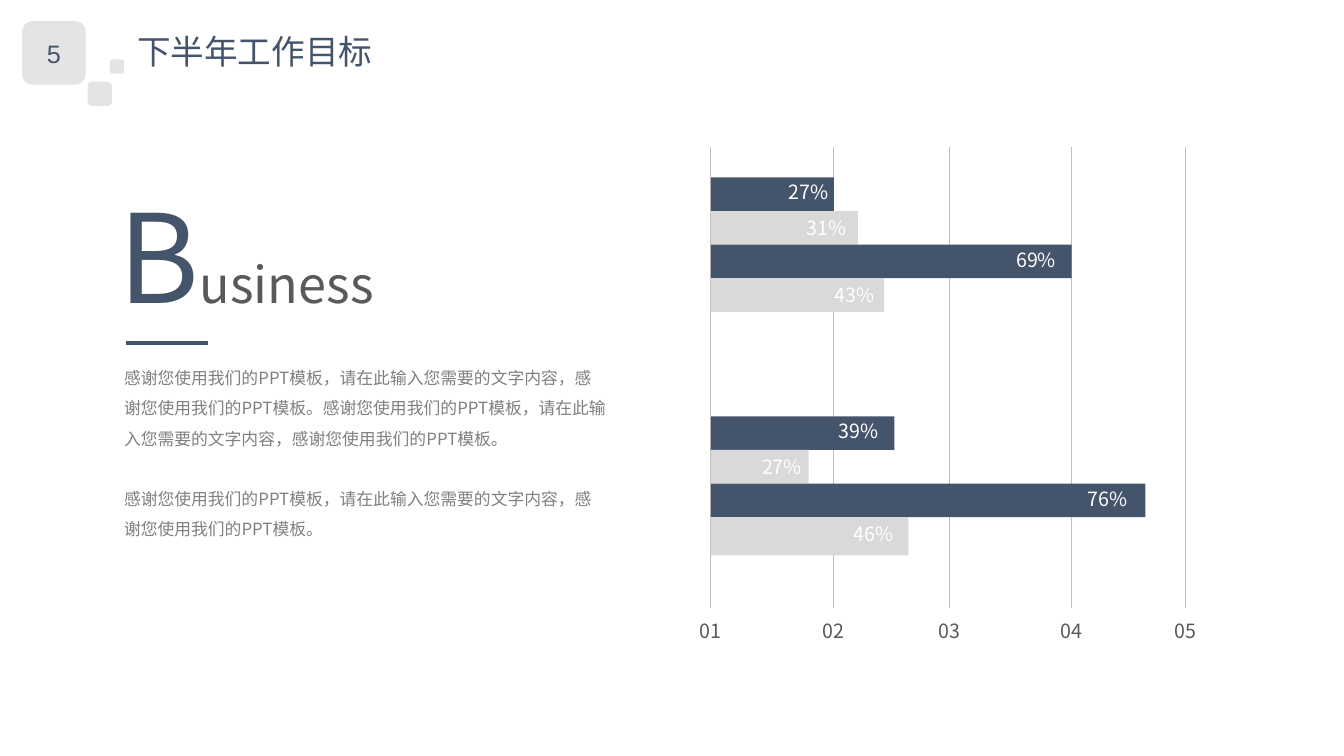
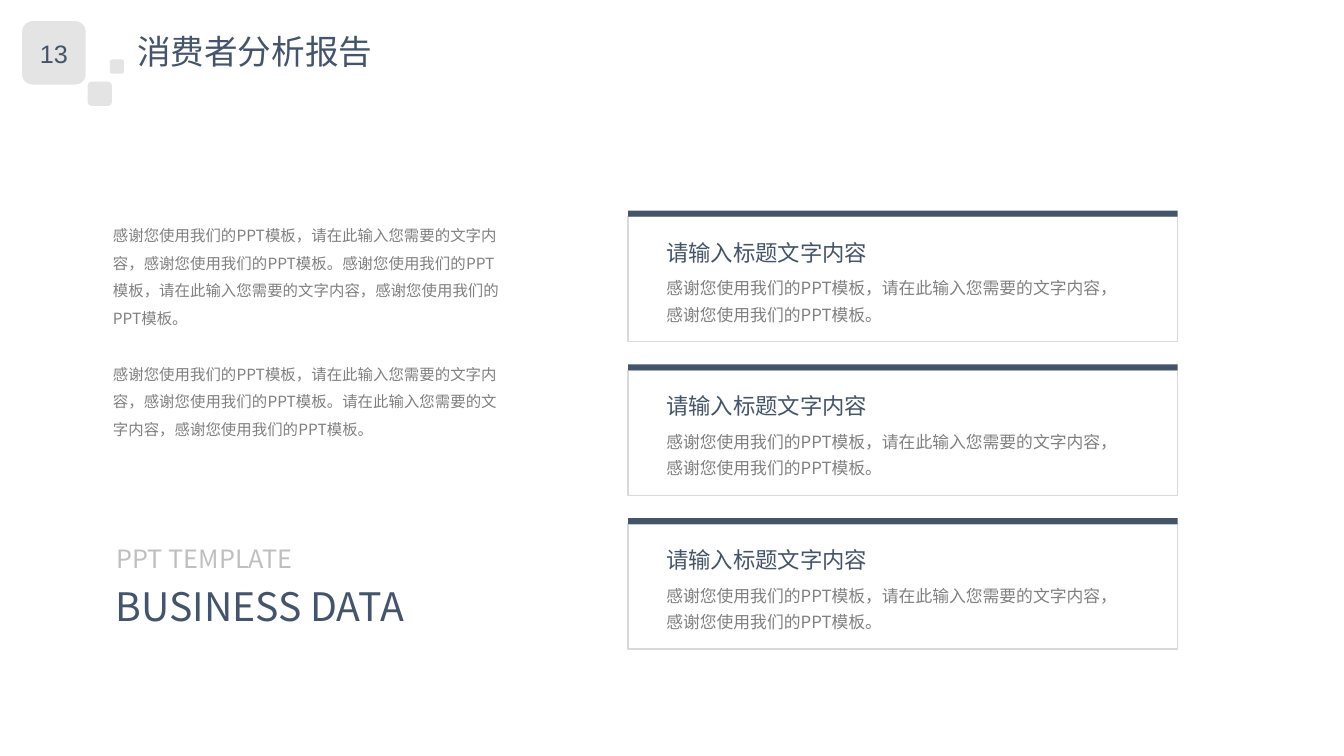
from dataclasses import dataclass

import lxml.etree
import pptx
import pptx.dml.color
import pptx.enum.shapes
import pptx.enum.text
import pptx.oxml.ns
import pptx.util

Inches = pptx.util.Inches
Pt = pptx.util.Pt
qn = pptx.oxml.ns.qn
SHAPE = pptx.enum.shapes.MSO_SHAPE
ALIGN = pptx.enum.text.PP_ALIGN


@dataclass(frozen=True)
class Theme:
    font: str = "Noto Sans CJK SC"
    number_font: str = "Arial"
    navy: str = "44546A"
    pale: str = "D9D9D9"
    rule: str = "BFBFBF"
    dark: str = "595959"
    grey: str = "808080"
    white: str = "FFFFFF"
    initial: int = 88
    word: int = 36
    banner: int = 28
    title: int = 24
    number: int = 18
    heading: int = 16
    label: int = 14
    body: int = 12
    small: int = 11


THEME = Theme()
INTRO = "感谢您使用我们的PPT模板，请在此输入您需要的文字内容，感谢您使用我们的PPT模板。"
REQUEST = "请在此输入您需要的文字内容，感谢您使用我们的PPT模板。"


# Basic elements
def rgb(color):
    return pptx.dml.color.RGBColor.from_string(color)


def place(shape, left, top, width, height):
    shape.left, shape.top = Inches(left), Inches(top)
    shape.width, shape.height = Inches(width), Inches(height)


def style(paragraph, size, color, font=THEME.font):
    paragraph.font.size = Pt(size)
    paragraph.font.color.rgb = rgb(color)
    paragraph.font.name = font
    properties = paragraph._p.pPr.find(qn("a:defRPr"))
    lxml.etree.SubElement(properties, qn("a:ea"), typeface=font)


def add_block(slide, kind, left, top, width, height, fill=None, line=None):
    block = slide.shapes.add_shape(
        kind, Inches(left), Inches(top), Inches(width), Inches(height))
    block.shadow.inherit = False
    if fill:
        block.fill.solid()
        block.fill.fore_color.rgb = rgb(fill)
    else:
        block.fill.background()
    if line:
        block.line.color.rgb = rgb(line)
        block.line.width = Pt(1)
    else:
        block.line.fill.background()
    return block


def add_rule(slide, start, end, color, width):
    rule = slide.shapes.add_connector(
        pptx.enum.shapes.MSO_CONNECTOR.STRAIGHT,
        *(Inches(value) for value in (*start, *end)))
    rule.line.color.rgb = rgb(color)
    rule.line.width = Pt(width)
    lxml.etree.SubElement(rule._element.spPr, qn("a:effectLst"))


def add_text(slide, text, box, size, color, font=THEME.font,
             align=ALIGN.LEFT, spacing=None):
    """Text with line spacing wraps; a plain label stays on one line."""
    frame = slide.shapes.add_textbox(*(Inches(value) for value in box)).text_frame
    frame.word_wrap = spacing is not None
    paragraph = frame.paragraphs[0]
    paragraph.text = text
    paragraph.alignment = align
    if spacing:
        paragraph.line_spacing = spacing
    style(paragraph, size, color, font)
    return paragraph


# Shared header and placeholders
def add_corner_squares(slide):
    """Draw the corner squares and hand them to the layout."""
    for left, top, side in ((0.22, 0.21, 0.63), (0.87, 0.81, 0.24), (1.09, 0.59, 0.14)):
        square = add_block(slide, SHAPE.ROUNDED_RECTANGLE, left, top, side, side, THEME.pale)
        tint = square._element.spPr.find(qn("a:solidFill"))[0]
        lxml.etree.SubElement(tint, qn("a:alpha"), val="70000")
        slide.slide_layout.element.cSld.spTree.append(square._element)


def add_content_slide(deck, number, heading):
    slide = deck.slides.add_slide(deck.slide_layouts.get_by_name("Title and Content"))
    title = slide.shapes.title
    place(title, 1.26, 0.26, 2.56, 0.5)
    frame = title.text_frame
    frame.text = heading
    frame.word_wrap = False
    frame.auto_size = pptx.enum.text.MSO_AUTO_SIZE.NONE
    frame.vertical_anchor = pptx.enum.text.MSO_ANCHOR.TOP
    frame.paragraphs[0].alignment = ALIGN.LEFT
    style(frame.paragraphs[0], THEME.title, THEME.navy)
    add_text(slide, number, (0.28, 0.33, 0.51, 0.4), THEME.number, THEME.navy,
             THEME.number_font, ALIGN.CENTER)
    return slide


def fill_body(slide, texts, box, size):
    body = slide.placeholders[1]
    place(body, *box)
    frame = body.text_frame
    frame.text = "\n".join(texts)
    frame.auto_size = pptx.enum.text.MSO_AUTO_SIZE.NONE
    for index, paragraph in enumerate(frame.paragraphs):
        properties = paragraph._p.get_or_add_pPr()
        properties.set("marL", "0")
        properties.set("indent", "0")
        lxml.etree.SubElement(properties, qn("a:buNone"))
        paragraph.line_spacing = 1.5
        paragraph.space_before = Pt(1.8 * size if index else 0)
        style(paragraph, size, THEME.grey)


# Slide parts
def add_business_word(slide):
    paragraph = add_text(slide, "", (1.08, 1.74, 2.79, 1.58), THEME.initial, THEME.navy)
    for text, size, color in (("B", THEME.initial, THEME.navy),
                              ("usiness", THEME.word, THEME.dark)):
        run = paragraph.add_run()
        run.text = text
        run.font.size = Pt(size)
        run.font.color.rgb = rgb(color)
    add_rule(slide, (1.25, 3.4), (2.06, 3.4), THEME.navy, 3)


def add_goal_bars(slide):
    grid = (7.05, 8.27, 9.42, 10.63, 11.76)
    for index, x in enumerate(grid, start=1):
        add_rule(slide, (x, 1.46), (x, 6.03), THEME.rule, 0.5)
        add_text(slide, f"{index:02}", (x - 0.21, 6.09, 0.42, 0.34),
                 THEME.label, THEME.dark)

    # Group top, then label, bar length and label position of each bar
    groups = (
        (1.76, (("27%", 1.22, 7.72), ("31%", 1.46, 7.9),
                ("69%", 3.58, 9.98), ("43%", 1.72, 8.18))),
        (4.13, (("39%", 1.82, 8.22), ("27%", 0.97, 7.46),
                ("76%", 4.31, 10.69), ("46%", 1.96, 8.37))),
    )
    pitch = 1 / 3
    for group_top, bars in groups:
        for index, (label, length, label_left) in enumerate(bars):
            top = group_top + index * pitch
            color, lift = ((THEME.navy, 0.02), (THEME.pale, 0))[index % 2]
            height = 0.38 if label == "46%" else pitch
            add_block(slide, SHAPE.RECTANGLE, grid[0], top, length, height, color)
            add_text(slide, label, (label_left, top - lift, 0.6, 0.34),
                     THEME.label, THEME.white)


def add_card(slide, top):
    add_block(slide, SHAPE.RECTANGLE, 6.23, top + 0.06, 5.45, 1.24, line=THEME.pale)
    add_text(slide, INTRO, (6.51, top + 0.56, 4.52, 0.58), THEME.body, THEME.grey, spacing=1.3)
    add_text(slide, "请输入标题文字内容", (6.51, top + 0.23, 2.22, 0.37),
             THEME.heading, THEME.navy)
    add_block(slide, SHAPE.RECTANGLE, 6.23, top, 5.45, 0.06, THEME.navy)


# Slides
def build_goals(deck):
    slide = add_content_slide(deck, "5", "下半年工作目标")
    add_corner_squares(slide)
    add_business_word(slide)
    fill_body(slide, (INTRO + INTRO, INTRO), (1.13, 3.5, 5, 1.87), THEME.body)
    add_goal_bars(slide)


def build_consumers(deck):
    slide = add_content_slide(deck, "13", "消费者分析报告")
    fill_body(slide, (INTRO + INTRO, INTRO + REQUEST), (1.02, 2.1, 4.06, 2.28), THEME.small)
    for index in range(3):
        add_card(slide, 2.09 + index * 3.05 / 2)
    add_text(slide, "BUSINESS DATA", (1.05, 5.73, 3.29, 0.57), THEME.banner, THEME.navy)
    add_text(slide, "PPT TEMPLATE", (1.06, 5.34, 1.98, 0.4), THEME.number, THEME.rule)


def main():
    deck = pptx.Presentation()
    deck.slide_width, deck.slide_height = Inches(13.33), Inches(7.5)
    build_goals(deck)
    build_consumers(deck)
    deck.save("out.pptx")


if __name__ == "__main__":
    main()
